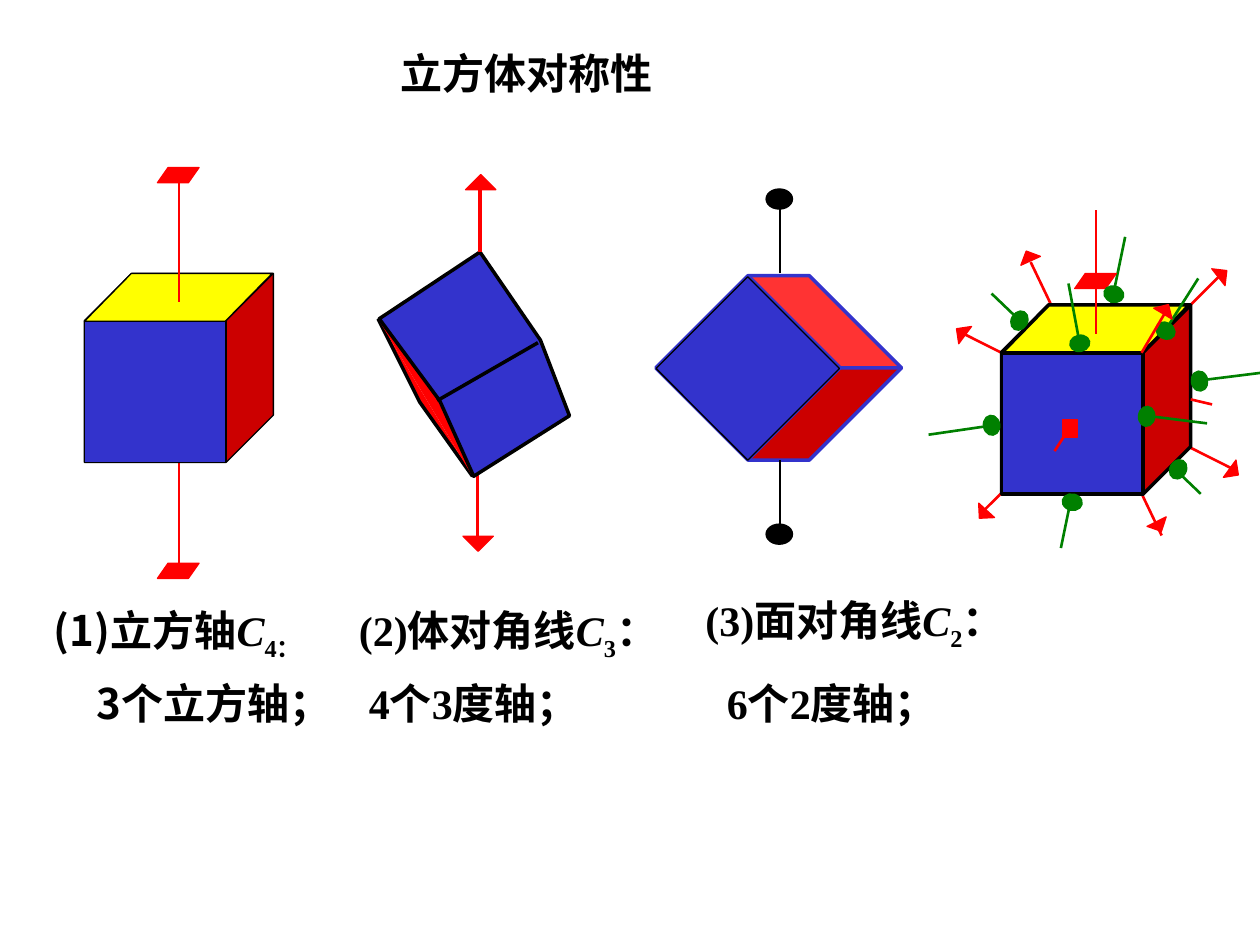
from lxml import etree
from pptx import Presentation
from pptx.dml.color import RGBColor
from pptx.enum.shapes import MSO_CONNECTOR, MSO_SHAPE
from pptx.enum.text import MSO_ANCHOR, PP_ALIGN
from pptx.oxml.ns import qn
from pptx.util import Inches, Pt

BLACK = RGBColor(0x00, 0x00, 0x00)
RED = RGBColor(0xFF, 0x00, 0x00)
GREEN = RGBColor(0x00, 0x80, 0x00)
BLUE = RGBColor(0x33, 0x33, 0xCC)
YELLOW = RGBColor(0xFF, 0xFF, 0x00)

CUBE = MSO_SHAPE.CUBE
RECT = MSO_SHAPE.RECTANGLE
OVAL = MSO_SHAPE.OVAL
TRIANGLE = MSO_SHAPE.RIGHT_TRIANGLE
SLANT = MSO_SHAPE.PARALLELOGRAM
STRAIGHT = MSO_CONNECTOR.STRAIGHT

LATIN = "Times New Roman"
CJK = "Noto Sans CJK SC"


def paint(sp, fill, line, weight):
    sp.shadow.inherit = False
    sp.fill.solid()
    sp.fill.fore_color.rgb = fill
    sp.line.color.rgb = line
    sp.line.width = Pt(weight)


def add_solid(shapes, kind, box, fill, line=None, weight=0.75, rot=0, adj=None):
    sp = shapes.add_shape(kind, *map(Inches, box))
    sp.rotation = rot
    if adj is not None:
        sp.adjustments[0] = adj
    paint(sp, fill, line or fill, weight)


def add_line(shapes, ends, color, weight=1.5):
    cxn = shapes.add_connector(STRAIGHT, *map(Inches, ends))
    cxn.line.color.rgb = color
    cxn.line.width = Pt(weight)
    etree.SubElement(cxn._element.spPr, qn("a:effectLst"))


def add_polygon(shapes, points, fill, weight, close=False):
    pts = [(Inches(x), Inches(y)) for x, y in points]
    builder = shapes.build_freeform(*pts[0])
    builder.add_line_segments(pts[1:], close=close)
    paint(builder.convert_to_shape(), fill, BLACK, weight)


def add_cube(shapes, x, y, weight):
    """Cube with a red side, a yellow top and a blue front."""
    add_solid(shapes, CUBE, (x, y, 1.5, 1.5), RED, BLACK, weight, adj=0.25)
    add_solid(shapes, SLANT, (x, y, 1.49, 0.38), YELLOW, BLACK, weight, adj=0.98)
    add_solid(shapes, RECT, (x, y + 0.38, 1.12, 1.12), BLUE, BLACK, weight)


def add_fourfold_mark(shapes, x, y):
    add_solid(shapes, SLANT, (x, y, 0.33, 0.12), RED, adj=0.7)


def add_arrow_tips(shapes, tips, size=0.12):
    for x, y, rot in tips:
        add_solid(shapes, TRIANGLE, (x, y, size, size), RED, rot=rot)


def format_runs(p, runs, default_font):
    """Write (text, style) runs; style is '', 'italic' or 'sub'."""
    for text, style in runs:
        r = p.add_run()
        r.text = text
        r.font.name = default_font if not style else LATIN
        r.font.size = Pt(24)
        r.font.bold = True
        r.font.italic = style == "italic"
        r.font.color.rgb = BLACK
        rPr = r._r.get_or_add_rPr()
        etree.SubElement(rPr, qn("a:ea")).set("typeface", CJK)
        if style == "sub":
            rPr.set("baseline", "-25000")


def add_caption(s, box, runs, font=LATIN):
    tf = s.shapes.add_textbox(*map(Inches, box)).text_frame
    tf.word_wrap = True
    format_runs(tf.paragraphs[0], runs, font)


def add_title(s, text):
    sp = s.shapes.title
    sp.left, sp.top, sp.width, sp.height = map(Inches, (3.08, 0.33, 2.5, 0.5))
    tf = sp.text_frame
    tf.vertical_anchor = MSO_ANCHOR.TOP
    p = tf.paragraphs[0]
    p.alignment = PP_ALIGN.LEFT
    format_runs(p, [(text, "")], LATIN)


def draw_fourfold_axis(shapes):
    add_line(shapes, (1.42, 3.51, 1.42, 4.5), RED)
    add_cube(shapes, 0.67, 2.17, 0.75)
    add_line(shapes, (1.42, 1.42, 1.42, 2.4), RED)
    for y in (1.33, 4.47):
        add_fourfold_mark(shapes, 1.25, y)


def draw_threefold_axis(shapes):
    add_line(shapes, (3.79, 3.75, 3.79, 4.33), RED, 2)
    left, bottom = (3, 2.53), (3.75, 3.78)
    add_polygon(shapes, [left, (3.33, 3.19), bottom], RED, 2)
    add_polygon(shapes, [bottom, (3.67, 3.01), left], RED, 0.75)
    add_polygon(shapes, [(3.01, 2.53), (3.49, 3.18), (3.76, 3.78), (4.52, 3.3),
                         (4.29, 2.7), (3.81, 2)], BLUE, 2, close=True)
    add_line(shapes, (3.47, 3.18, 4.27, 2.72), BLACK, 2)
    add_line(shapes, (3.81, 2, 3.81, 1.42), RED, 2)
    add_arrow_tips(shapes, [(3.71, 4.17, 315), (3.73, 1.42, 135)], 0.17)


def draw_twofold_axis(shapes):
    add_solid(shapes, CUBE, (5.49, 2.23, 1.38, 1.38), RED, BLUE, 2, 45, 0.25)
    add_solid(shapes, RECT, (5.42, 2.41, 1.03, 1.03), BLUE, BLACK, rot=45)
    for start, end, dot in ((2.17, 1.58, 1.5), (3.65, 4.23, 4.16)):
        add_line(shapes, (6.19, start, 6.19, end), BLACK)
        add_solid(shapes, OVAL, (6.08, dot, 0.21, 0.16), BLACK)


def draw_all_axes(shapes):
    # Axes running behind the cube
    for ends, color in (((8.42, 4.35, 8.93, 1.88), GREEN),
                        ((8.18, 2.08, 9.22, 4.25), RED),
                        ((7.65, 2.65, 9.78, 3.72), RED),
                        ((7.78, 4.08, 9.7, 2.17), RED),
                        ((7.87, 2.33, 9.53, 3.92), GREEN)):
        add_line(shapes, ends, color)
    add_arrow_tips(shapes, [(8.12, 2.01, 110.5), (7.6, 2.6, 81.6),
                            (9.12, 4.08, 288.4), (9.7, 3.66, 261.1)])
    add_cube(shapes, 7.95, 2.42, 2)

    # Axes in front of the cube
    add_line(shapes, (8.7, 1.67, 8.7, 2.65), RED)
    add_fourfold_mark(shapes, 8.53, 2.17)
    for ends in ((9.58, 3.36, 9.1, 3.3), (8.48, 2.25, 8.57, 2.73),
                 (7.37, 3.45, 7.85, 3.38), (10, 2.96, 9.52, 3.02),
                 (9.51, 2.21, 9.25, 2.62)):
        add_line(shapes, ends, GREEN)
    for x, y, rot in ((9.02, 3.24, 96.4), (8.43, 3.92, 192.7), (9.27, 3.66, 120.1),
                      (8.49, 2.66, 349.1), (7.79, 3.31, 260.9), (9.44, 2.96, 82.5),
                      (9.17, 2.56, 31.6), (8.76, 2.27, 15.7), (8.01, 2.48, 119.6)):
        add_solid(shapes, OVAL, (x, y, 0.16, 0.13), GREEN, rot=rot)
    for ends in ((9.45, 3.17, 9.62, 3.21), (9.06, 2.8, 9.26, 2.46),
                 (8.37, 3.58, 8.53, 3.33)):
        add_line(shapes, ends, RED)
    add_arrow_tips(shapes, [(9.17, 2.43, 165.9), (7.77, 3.99, 357.3),
                            (9.61, 2.14, 186.9)])
    add_solid(shapes, RECT, (8.43, 3.33, 0.12, 0.14), RED)


def main():
    prs = Presentation()
    prs.slide_width, prs.slide_height = Inches(10), Inches(7.5)
    s = prs.slides.add_slide(prs.slide_layouts[5])
    add_title(s, "立方体对称性")

    for draw in (draw_all_axes, draw_fourfold_axis, draw_threefold_axis,
                 draw_twofold_axis):
        draw(s.shapes.add_group_shape().shapes)

    add_caption(s, (0.33, 4.75, 2.58, 0.56),
                [("(1)立方轴", ""), ("C", "italic"), ("4：", "sub")], CJK)
    add_caption(s, (0.67, 5.33, 2.25, 0.5), [("3个立方轴；", "")], CJK)
    for x, y, name, order in ((2.75, 4.75, "(2)体对角线", "3"),
                              (5.5, 4.67, "(3)面对角线", "2")):
        add_caption(s, (x, y, 2.83, 0.56),
                    [(name, ""), ("C", "italic"), (order, "sub"), ("：", "")])
    add_caption(s, (2.83, 5.33, 2.42, 0.5), [("4个3度轴；", "")])
    add_caption(s, (5.67, 5.33, 2.08, 0.5), [("6个2度轴；", "")])
    prs.save("out.pptx")


if __name__ == "__main__":
    main()
